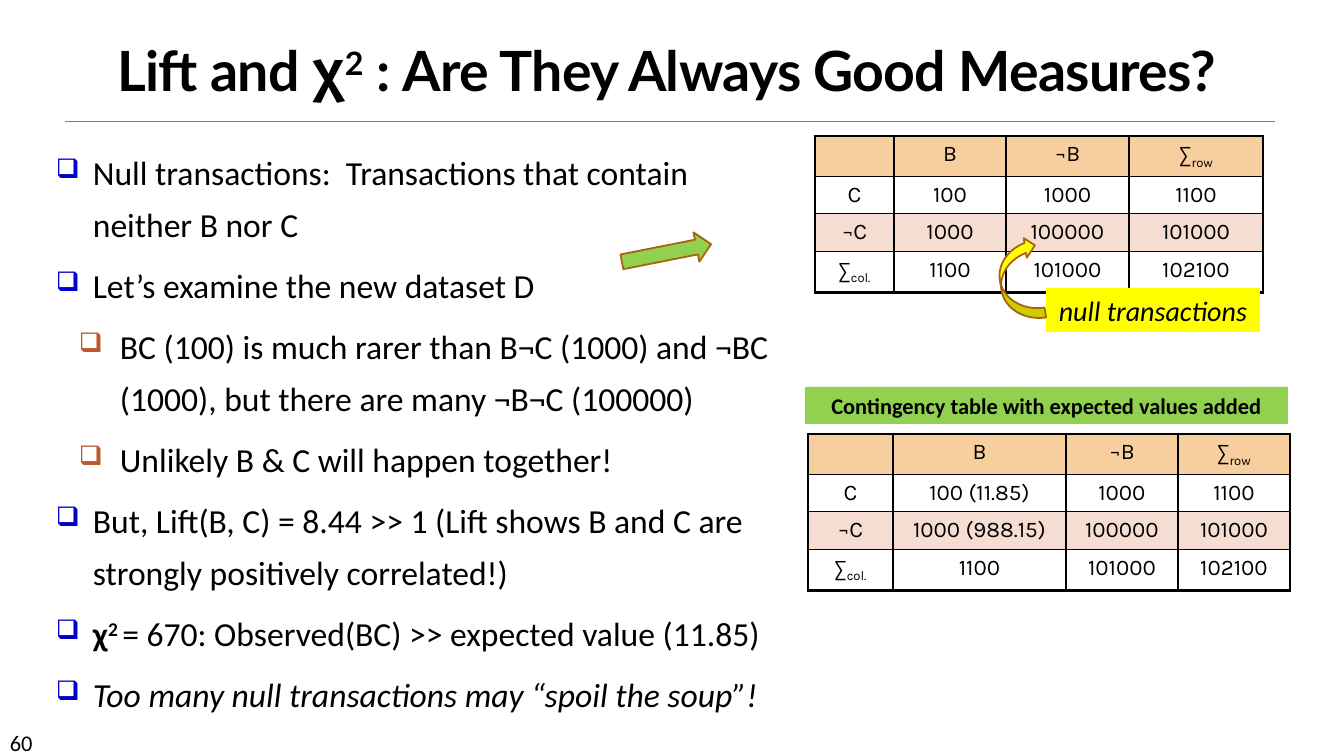
from dataclasses import dataclass

from lxml.etree import SubElement
from pptx import Presentation
from pptx.dml.color import RGBColor
from pptx.enum.shapes import MSO_CONNECTOR as Connector, MSO_SHAPE as Shape
from pptx.enum.text import MSO_ANCHOR as Anchor, MSO_AUTO_SIZE as AutoSize, PP_ALIGN as Align
from pptx.oxml.ns import qn
from pptx.util import Pt


@dataclass(frozen=True)
class Theme:
    """Colours, fonts and type sizes of the slide."""
    text: str = "000000"
    rule: str = "808080"
    head_fill: str = "F7CE9D"
    band_fill: str = "F5DDD2"
    yellow: str = "FFFF00"
    green: str = "92D050"
    arrow_line: str = "A9610D"
    bullets: tuple = ("0000CC", "BD582C")
    title_font: str = "Lato"
    greek_font: str = "Noto Sans CJK TC"
    body_font: str = "Calibri"
    table_font: str = "Karla"
    title_size: float = 39.6
    body_size: int = 24
    callout_size: int = 20
    small_size: int = 16


THEME = Theme()
SLIDE_SIZE = (1344, 756)
EMU_PER_PX = 12192000 / 1344

TITLE = [
    ("Lift and ", {}),
    ("χ", {"font": THEME.greek_font}),
    ("2", {"baseline": 30}),
    (" : Are They Always Good Measures?", {}),
]
TITLE_BOX = (56, 34, 1221, 74)
RULE = (65, 121, 1275, 121)
NUMBER, NUMBER_BOX = "60", (0, 724, 118, 30)

BODY_BOX = (46, 135, 757, 586)
INDENTS = [(37, 37), (64, 41)]
BODY = [
    (0, [("Null transactions:  Transactions that contain neither B nor C", {})]),
    (0, [("Let’s examine the new dataset D", {})]),
    (1, [("BC (100) is much rarer than B¬C (1000) and ¬BC (1000), but there are many ¬B¬C (100000)", {})]),
    (1, [("Unlikely B & C will happen together!", {})]),
    (0, [("But, Lift(B, C) = 8.44 >> 1 (Lift shows B and C are strongly positively correlated!)", {})]),
    (0, [("χ", {"bold": True}), ("2 ", {"bold": True, "baseline": 30}),
         ("= 670: Observed(BC) >> expected value (11.85)", {})]),
    (0, [("Too many null transactions may “spoil the soup”!", {"italic": True})]),
]

HEADER = ["", "B", "¬B", "∑_row"]
TOTALS = ["∑_col.", "1100", "101000", "102100"]
ROW_HEIGHTS = [40, 36, 38, 40]
ROW_FILLS = [THEME.head_fill, None, THEME.band_fill, None]
TABLES = [
    ((815, 136), [79, 112, 123, 134],
     [HEADER, ["C", "100", "1000", "1100"], ["¬C", "1000", "100000", "101000"], TOTALS]),
    ((808, 434), [85, 173, 112, 112],
     [HEADER, ["C", "100 (11.85)", "1000", "1100"], ["¬C", "1000 (988.15)", "100000", "101000"], TOTALS]),
]
LABELS = [
    ("null transactions", (1046, 288, 214, 44), THEME.yellow, THEME.callout_size, {"italic": True}),
    ("Contingency table with expected values added", (805, 387, 483, 37), THEME.green,
     THEME.small_size, {"bold": True}),
]
ARROWS = [
    (Shape.CURVED_LEFT_ARROW, (1000, 238, 40, 83), 171.2, THEME.yellow),
    (Shape.RIGHT_ARROW, (621, 238, 91, 30), 348.8, THEME.green),
]


def px(*lengths):
    return [round(length * EMU_PER_PX) for length in lengths]


def colour(value):
    return RGBColor.from_string(value)


def add_run(paragraph, text, size, font=THEME.body_font, bold=False, italic=False, baseline=0, spacing=0):
    run = paragraph.add_run()
    run.text = text
    run.font.name, run.font.size = font, Pt(size)
    run.font.bold, run.font.italic = bold, italic
    run.font.color.rgb = colour(THEME.text)
    properties = run.font._element
    if baseline:
        properties.set("baseline", str(baseline * 1000))
    if spacing:
        properties.set("spc", str(spacing))


def add_bullet(paragraph, level):
    left, hanging = px(*INDENTS[level])
    properties = paragraph._p.get_or_add_pPr()
    properties.set("marL", str(left))
    properties.set("indent", str(-hanging))
    bullet_colour = SubElement(properties, qn("a:buClr"))
    SubElement(bullet_colour, qn("a:srgbClr"), val=THEME.bullets[level])
    SubElement(properties, qn("a:buSzPct"), val="80000")
    SubElement(properties, qn("a:buChar"), char="❑")


def add_border(cell, side, points):
    line = SubElement(cell._tc.get_or_add_tcPr(), qn(f"a:ln{side}"), w=str(Pt(points)))
    fill = SubElement(line, qn("a:solidFill"))
    SubElement(fill, qn("a:srgbClr"), val=THEME.text)


def add_title(slide):
    title = slide.shapes.title
    title.left, title.top, title.width, title.height = px(*TITLE_BOX)
    frame = title.text_frame
    frame.word_wrap, frame.auto_size = True, AutoSize.NONE
    frame.vertical_anchor = Anchor.BOTTOM
    paragraph = frame.paragraphs[0]
    paragraph.alignment, paragraph.line_spacing = Align.CENTER, 0.85
    for text, style in TITLE:
        add_run(paragraph, text, THEME.title_size,
                **{"font": THEME.title_font, "bold": True, "spacing": -50, **style})
    rule = slide.shapes.add_connector(Connector.STRAIGHT, *px(*RULE))
    rule.line.color.rgb, rule.line.width = colour(THEME.rule), Pt(0.5)
    SubElement(rule._element.spPr, qn("a:effectLst"))


def add_body(slide):
    frame = slide.shapes.add_textbox(*px(*BODY_BOX)).text_frame
    frame.word_wrap = True
    for index, (level, runs) in enumerate(BODY):
        paragraph = frame.add_paragraph() if index else frame.paragraphs[0]
        paragraph.level, paragraph.line_spacing = level, 1.3
        paragraph.space_before = Pt(6 if index else 0)
        add_bullet(paragraph, level)
        for text, style in runs:
            add_run(paragraph, text, THEME.body_size, **style)


def add_contingency_table(slide, corner, widths, rows):
    size = (sum(widths), sum(ROW_HEIGHTS))
    table = slide.shapes.add_table(len(rows), len(widths), *px(*corner, *size)).table
    table.first_row = table.horz_banding = False
    for column, width in zip(table.columns, px(*widths)):
        column.width = width
    for row, height in zip(table.rows, px(*ROW_HEIGHTS)):
        row.height = height
    last_row, last_column = len(rows) - 1, len(widths) - 1
    for i, values in enumerate(rows):
        for j, value in enumerate(values):
            cell = table.cell(i, j)
            cell.margin_left = cell.margin_right = px(13)[0]
            outer = {"L": j == 0, "R": j == last_column, "T": i == 0, "B": i == last_row}
            for side, is_outer in outer.items():
                add_border(cell, side, 2.25 if is_outer else 1)
            if ROW_FILLS[i]:
                cell.fill.solid()
                cell.fill.fore_color.rgb = colour(ROW_FILLS[i])
            else:
                cell.fill.background()
            paragraph = cell.text_frame.paragraphs[0]
            paragraph.alignment = Align.CENTER
            for text, baseline in zip(value.split("_"), (0, -25)):
                if text:
                    add_run(paragraph, text, THEME.small_size, THEME.table_font, baseline=baseline)


def add_filled_shape(slide, kind, box, fill):
    shape = slide.shapes.add_shape(kind, *px(*box))
    shape.shadow.inherit = False
    shape.fill.solid()
    shape.fill.fore_color.rgb = colour(fill)
    shape.line.fill.background()
    return shape


def main():
    presentation = Presentation()
    presentation.slide_width, presentation.slide_height = px(*SLIDE_SIZE)
    slide = presentation.slides.add_slide(presentation.slide_layouts[5])
    add_title(slide)
    number = slide.shapes.add_textbox(*px(*NUMBER_BOX)).text_frame
    number.word_wrap = True
    add_run(number.paragraphs[0], NUMBER, THEME.small_size)
    add_body(slide)
    for corner, widths, rows in TABLES:
        add_contingency_table(slide, corner, widths, rows)
    for text, box, fill, size, style in LABELS:
        frame = add_filled_shape(slide, Shape.RECTANGLE, box, fill).text_frame
        frame.word_wrap, frame.vertical_anchor = False, Anchor.MIDDLE
        frame.paragraphs[0].alignment = Align.CENTER
        add_run(frame.paragraphs[0], text, size, **style)
    for kind, box, angle, fill in ARROWS:
        arrow = add_filled_shape(slide, kind, box, fill)
        arrow.rotation = angle
        arrow.line.color.rgb, arrow.line.width = colour(THEME.arrow_line), Pt(1.25)
    presentation.save("out.pptx")


if __name__ == "__main__":
    main()
